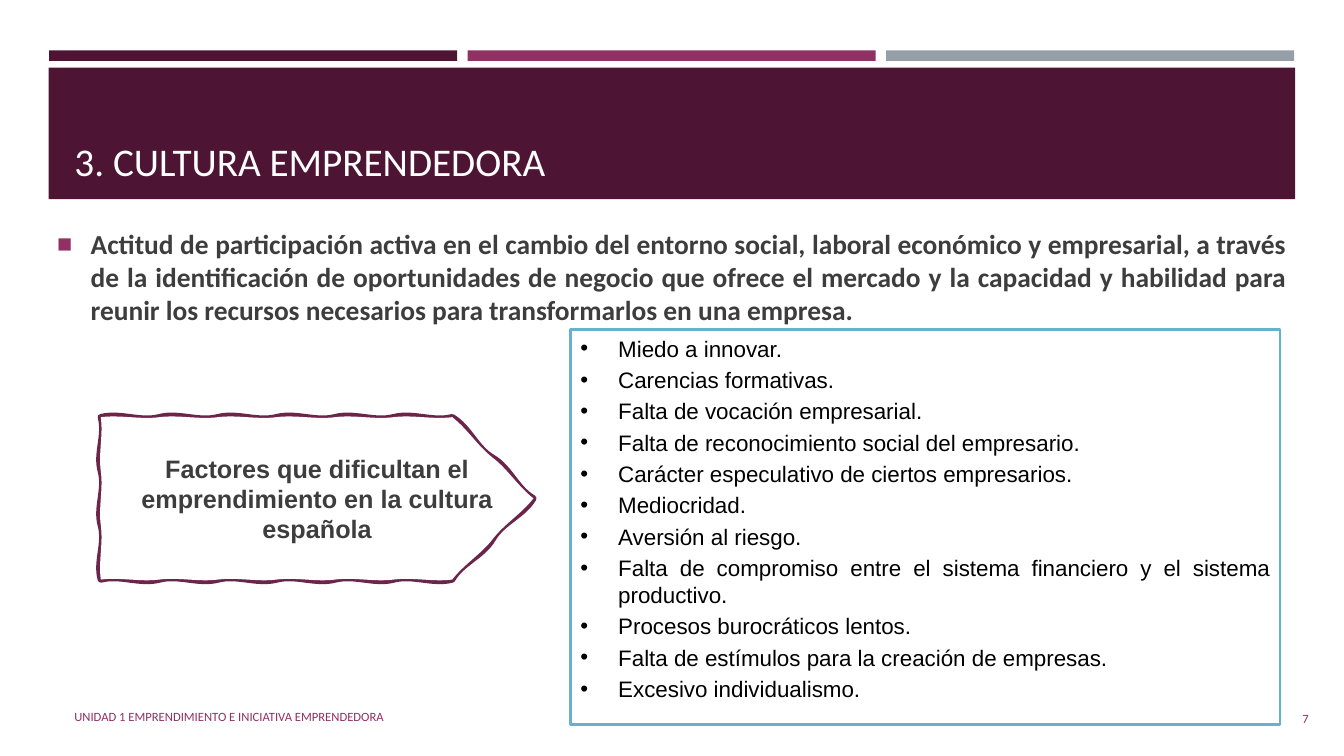
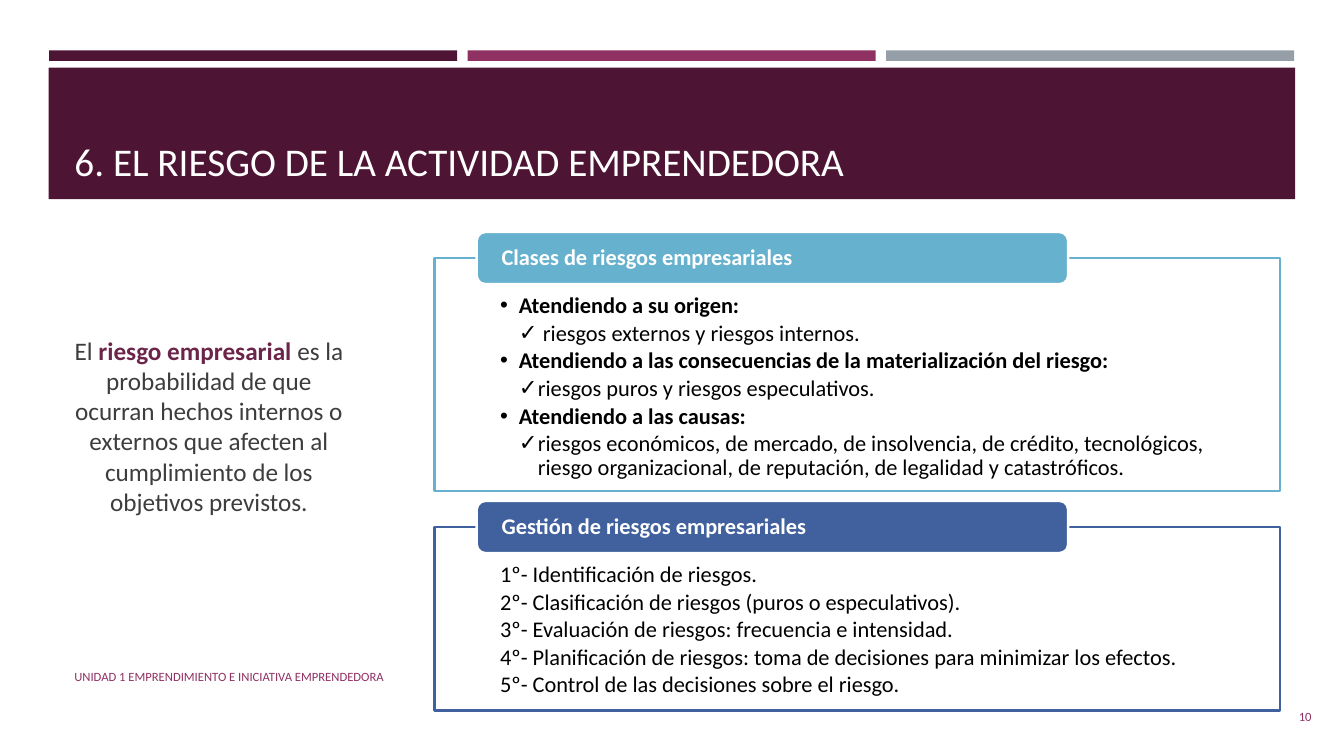
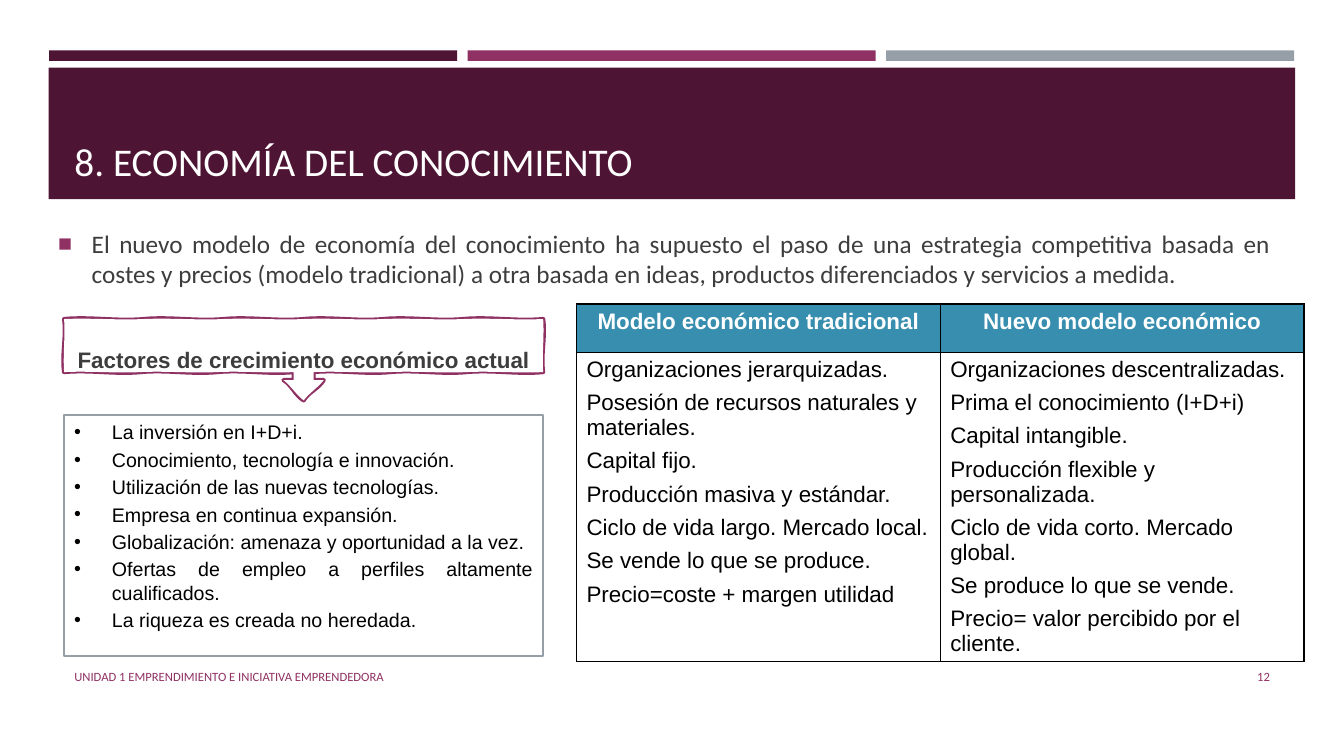
from dataclasses import dataclass, replace
from math import dist

from lxml.etree import SubElement
from pptx import Presentation
from pptx.dml.color import RGBColor
from pptx.enum.shapes import MSO_SHAPE
from pptx.enum.text import MSO_ANCHOR, MSO_AUTO_SIZE, PP_ALIGN
from pptx.oxml.ns import qn
from pptx.presentation import Presentation as Deck
from pptx.shapes.autoshape import Shape
from pptx.slide import Slide
from pptx.table import _Cell as Cell
from pptx.text.text import TextFrame
from pptx.util import Pt

WHITE = RGBColor(0xFF, 0xFF, 0xFF)
BLACK = RGBColor(0, 0, 0)
WINE = RGBColor(0x4D, 0x14, 0x34)
PLUM = RGBColor(0x6C, 0x25, 0x4A)
MAGENTA = RGBColor(0x90, 0x31, 0x63)
GREY = RGBColor(0x96, 0x9F, 0xA7)
INK = RGBColor(0x3D, 0x3D, 0x3D)
SKY = RGBColor(0x66, 0xB1, 0xCE)
BLUE = RGBColor(0x40, 0x61, 0x9D)
TEAL = RGBColor(0x38, 0x8E, 0xAF)

FOOTER = "UNIDAD 1 EMPRENDIMIENTO E INICIATIVA EMPRENDEDORA"

Point = tuple[float, float]


@dataclass(frozen=True)
class Box:
    left: float
    top: float
    width: float
    height: float

    def lengths(self) -> tuple[Pt, Pt, Pt, Pt]:
        return Pt(self.left), Pt(self.top), Pt(self.width), Pt(self.height)


@dataclass(frozen=True)
class Bullet:
    mark: str
    color: RGBColor | None = None
    percent: int = 100


@dataclass(frozen=True)
class Look:
    size: float
    font: str = "Calibri"
    color: RGBColor = BLACK
    bold: bool = False
    align: PP_ALIGN = PP_ALIGN.LEFT
    left: float = 0
    hanging: float = 0
    before: float = 0
    after: float = 0
    line: float = 1
    level: int = 0
    bullet: Bullet | None = None


@dataclass(frozen=True)
class Span:
    text: str
    color: RGBColor | None = None
    bold: bool | None = None


@dataclass(frozen=True)
class Para:
    spans: tuple[Span, ...]
    look: Look


@dataclass(frozen=True)
class Panel:
    heading: str
    color: RGBColor
    top: float
    height: float
    paras: list[Para]


@dataclass(frozen=True)
class Page:
    title: str
    number: str
    footer_top: float
    number_box: Box


@dataclass(frozen=True)
class Sketch:
    corners: list[Point]
    color: RGBColor
    weight: float
    swing: float
    stretch: float


TITLE = Look(28, color=WHITE)
SMALL = Look(9, color=MAGENTA)
LEAD = Look(18, color=INK, align=PP_ALIGN.JUSTIFY, left=24, hanging=24, bullet=Bullet("■", MAGENTA, 92))
CALLOUT = Look(18, "Arial", INK, True, PP_ALIGN.CENTER)
FACTORS = Look(16, "Arial", align=PP_ALIGN.JUSTIFY, left=27, hanging=27, before=3.2, bullet=Bullet("•"))
HEADING = Look(16, color=WHITE, bold=True, line=0.9)
STEP = Look(16, left=13.5, hanging=13.5, after=2.4, line=0.9)
RISK = replace(STEP, bold=True, bullet=Bullet("•"))
KIND = replace(STEP, left=27, level=1, bullet=Bullet("✓"))
COLUMN_HEAD = Look(16, "Arial", WHITE, True, PP_ALIGN.CENTER)
COLUMN_TEXT = Look(16, "Arial", after=6)


def plain(texts: list[str], look: Look) -> list[Para]:
    return [Para((Span(text),), look) for text in texts]


def write(frame: TextFrame, paras: list[Para], anchor: MSO_ANCHOR = MSO_ANCHOR.TOP,
          margins: tuple[float, float, float, float] = (7.2, 3.6, 7.2, 3.6)) -> None:
    frame.word_wrap = True
    frame.auto_size = MSO_AUTO_SIZE.NONE
    frame.vertical_anchor = anchor
    frame.margin_left, frame.margin_top, frame.margin_right, frame.margin_bottom = map(Pt, margins)
    fill_paragraphs(frame, paras)


def fill_paragraphs(frame: TextFrame, paras: list[Para]) -> None:
    for index, item in enumerate(paras):
        para = frame.add_paragraph() if index else frame.paragraphs[0]
        look = item.look
        para.alignment = look.align
        para.level = look.level
        para.line_spacing = look.line
        para.space_before = Pt(look.before)
        para.space_after = Pt(look.after)
        properties = para._p.get_or_add_pPr()
        properties.set("marL", str(Pt(look.left)))
        properties.set("indent", str(-Pt(look.hanging)))
        if look.bullet is None:
            SubElement(properties, qn("a:buNone"))
        else:
            if look.bullet.color is not None:
                color = SubElement(properties, qn("a:buClr"))
                SubElement(color, qn("a:srgbClr"), val=str(look.bullet.color))
            SubElement(properties, qn("a:buSzPct"), val=str(look.bullet.percent * 1000))
            SubElement(properties, qn("a:buFont"), typeface="Arial")
            SubElement(properties, qn("a:buChar"), char=look.bullet.mark)
        for span in item.spans:
            run = para.add_run()
            run.text = span.text
            run.font.name = look.font
            run.font.size = Pt(look.size)
            run.font.bold = look.bold if span.bold is None else span.bold
            run.font.color.rgb = span.color or look.color


def paint(shape: Shape, fill: RGBColor, line: RGBColor | None = None, weight: float = 1.75) -> None:
    shape.shadow.inherit = False
    shape.fill.solid()
    shape.fill.fore_color.rgb = fill
    if line is None:
        shape.line.fill.background()
    else:
        shape.line.color.rgb = line
        shape.line.width = Pt(weight)


def add_box(page: Slide, box: Box, fill: RGBColor, line: RGBColor | None = None,
            kind: MSO_SHAPE = MSO_SHAPE.RECTANGLE) -> Shape:
    shape = page.shapes.add_shape(kind, *box.lengths())
    paint(shape, fill, line)
    return shape


def add_text(page: Slide, box: Box, text: str, look: Look) -> None:
    shape = page.shapes.add_textbox(*box.lengths())
    write(shape.text_frame, plain([text], look), MSO_ANCHOR.MIDDLE)


def wavy_curves(sketch: Sketch, swing: float) -> list[list[Point]]:
    curves = []
    for start, end in zip(sketch.corners, sketch.corners[1:] + sketch.corners[:1]):
        length = dist(start, end)
        pieces = max(1, round(length / sketch.stretch))
        across, down = (end[0] - start[0]) / length, (end[1] - start[1]) / length
        bend = min(swing, length / 12)
        for piece in range(pieces):
            curve = []
            for part, offset in ((1 / 3, -bend), (2 / 3, bend), (1, 0)):
                along = length * (piece + part) / pieces
                curve.append((start[0] + across * along - down * offset,
                              start[1] + down * along + across * offset))
            curves.append(curve)
    return curves


def add_sketch(page: Slide, sketch: Sketch) -> Shape:
    corners = [(Pt(left), Pt(top)) for left, top in sketch.corners]
    builder = page.shapes.build_freeform(*corners[0])
    builder.add_line_segments(corners[1:], close=True)
    shape = builder.convert_to_shape()
    paint(shape, WHITE, sketch.color, sketch.weight)
    outlines = shape.element.spPr.find(qn("a:custGeom")).find(qn("a:pathLst"))
    outlines.clear()

    def add_point(parent, point: Point) -> None:
        SubElement(parent, qn("a:pt"), x=str(Pt(point[0]) - shape.left), y=str(Pt(point[1]) - shape.top))

    for swing, hidden in ((sketch.swing, {"fill": "none"}), (sketch.swing / 2, {"stroke": "0"})):
        outline = SubElement(outlines, qn("a:path"), w=str(shape.width), h=str(shape.height), **hidden)
        add_point(SubElement(outline, qn("a:moveTo")), sketch.corners[0])
        for curve in wavy_curves(sketch, swing):
            bend = SubElement(outline, qn("a:cubicBezTo"))
            for point in curve:
                add_point(bend, point)
        SubElement(outline, qn("a:close"))
    return shape


def add_bands(deck: Deck, page: Slide) -> None:
    bands = [add_box(page, Box(35 + index * 299, 36, 291.5, 7.5), color)
             for index, color in enumerate((WINE, MAGENTA, GREY))]
    bands.append(add_box(page, Box(34.8, 48.4, 890.4, 93.8), WINE))
    tree = deck.slide_master.shapes.element
    for index, band in enumerate(bands):
        band.element.nvSpPr.cNvPr.set("id", str(100 + index))
        tree.insert(2 + index, band.element)


def add_page(deck: Deck, plan: Page, body: Box, paras: list[Para], anchor: MSO_ANCHOR = MSO_ANCHOR.TOP) -> Slide:
    page = deck.slides.add_slide(deck.slide_layouts[1])
    if len(deck.slides) == 1:
        add_bands(deck, page)
    places = (
        (page.shapes.title, Box(46, 55.5, 868, 80), plain([plan.title], TITLE), MSO_ANCHOR.BOTTOM),
        (page.placeholders[1], body, paras, anchor),
    )
    for holder, box, content, side in places:
        holder.left, holder.top, holder.width, holder.height = box.lengths()
        write(holder.text_frame, content, side)
    add_text(page, Box(46, plan.footer_top, 544, 29), FOOTER, SMALL)
    add_text(page, plan.number_box, plan.number, replace(SMALL, align=PP_ALIGN.RIGHT))
    return page


def add_culture(deck: Deck) -> None:
    lead = ("Actitud de participación activa en el cambio del entorno social, laboral económico y empresarial, "
            "a través de la identificación de oportunidades de negocio que ofrece el mercado y la capacidad y "
            "habilidad para reunir los recursos necesarios para transformarlos en una empresa.")
    plan = Page("3. CULTURA EMPRENDEDORA", "7", 497.5, Box(859, 499, 83, 29))
    page = add_page(deck, plan, Box(33.6, 158.5, 893, 80), plain([lead], replace(LEAD, size=19.6, bold=True)))
    barriers = [
        "Miedo a innovar.",
        "Carencias formativas.",
        "Falta de vocación empresarial.",
        "Falta de reconocimiento social del empresario.",
        "Carácter especulativo de ciertos empresarios.",
        "Mediocridad.",
        "Aversión al riesgo.",
        "Falta de compromiso entre el sistema financiero y el sistema productivo.",
        "Procesos burocráticos lentos.",
        "Falta de estímulos para la creación de empresas.",
        "Excesivo individualismo.",
    ]
    frame = add_box(page, Box(407.5, 235.5, 507, 282), WHITE, SKY)
    write(frame.text_frame, plain(barriers, FACTORS))
    corners = [(72, 298), (323, 298), (381, 356), (323, 414), (72, 414)]
    arrow = add_sketch(page, Sketch(corners, PLUM, 4.5, 3.6, 40))
    write(arrow.text_frame,
          plain(["Factores que dificultan el emprendimiento en la cultura española"], CALLOUT),
          MSO_ANCHOR.MIDDLE)


def add_panel(page: Slide, panel: Panel) -> None:
    frame = add_box(page, Box(310.4, panel.top, 604, panel.height), WHITE, panel.color)
    write(frame.text_frame, panel.paras, MSO_ANCHOR.TOP, (46.8, 26, 46.8, 8.5))
    tab = add_box(page, Box(340.5, panel.top - 18.7, 422.5, 37.3), panel.color, WHITE,
                  MSO_SHAPE.ROUNDED_RECTANGLE)
    write(tab.text_frame, plain([panel.heading], HEADING), MSO_ANCHOR.MIDDLE, (16, 0, 16, 0))


def add_risk(deck: Deck) -> None:
    meaning = Para((
        Span("El "),
        Span("riesgo empresarial ", PLUM, True),
        Span("es la probabilidad de que ocurran hechos internos o externos que afecten al cumplimiento "
             "de los objetivos previstos."),
    ), Look(18, color=INK, align=PP_ALIGN.CENTER))
    plan = Page("6. EL RIESGO DE LA ACTIVIDAD EMPRENDEDORA", "10", 468.7, Box(861, 497.5, 83, 29))
    page = add_page(deck, plan, Box(46, 161.5, 206.5, 285), [meaning], MSO_ANCHOR.MIDDLE)
    classes = [
        ("Atendiendo a su origen:", " riesgos externos y riesgos internos."),
        ("Atendiendo a las consecuencias de la materialización del riesgo:",
         "riesgos puros y riesgos especulativos."),
        ("Atendiendo a las causas:",
         "riesgos económicos, de mercado, de insolvencia, de crédito, tecnológicos, riesgo organizacional, "
         "de reputación, de legalidad y catastróficos."),
    ]
    steps = [
        "1º- Identificación de riesgos.",
        "2º- Clasificación de riesgos (puros o especulativos).",
        "3º- Evaluación de riesgos: frecuencia e intensidad.",
        "4º- Planificación de riesgos: toma de decisiones para minimizar los efectos.",
        "5º- Control de las decisiones sobre el riesgo.",
    ]
    class_paras = [Para((Span(text),), look) for pair in classes for text, look in zip(pair, (RISK, KIND))]
    for panel in (
        Panel("Clases de riesgos empresariales", SKY, 184.4, 166.3, class_paras),
        Panel("Gestión de riesgos empresariales", BLUE, 376.5, 131, plain(steps, STEP)),
    ):
        add_panel(page, panel)


def style_cell(cell: Cell, fill: RGBColor, paras: list[Para]) -> None:
    properties = cell._tc.get_or_add_tcPr()
    for side in ("a:lnL", "a:lnR", "a:lnT", "a:lnB"):
        border = SubElement(properties, qn(side), w=str(Pt(1)))
        SubElement(SubElement(border, qn("a:solidFill")), qn("a:srgbClr"), val=str(BLACK))
    cell.fill.solid()
    cell.fill.fore_color.rgb = fill
    fill_paragraphs(cell.text_frame, paras)


def add_models(page: Slide) -> None:
    models = {
        "Modelo económico tradicional": [
            "Organizaciones jerarquizadas.",
            "Posesión de recursos naturales y materiales.",
            "Capital fijo.",
            "Producción masiva y estándar.",
            "Ciclo de vida largo. Mercado local.",
            "Se vende lo que se produce.",
            "Precio=coste + margen utilidad",
        ],
        "Nuevo modelo económico": [
            "Organizaciones descentralizadas.",
            "Prima el conocimiento (I+D+i)",
            "Capital intangible.",
            "Producción flexible y personalizada.",
            "Ciclo de vida corto. Mercado global.",
            "Se produce lo que se vende.",
            "Precio= valor percibido por el cliente.",
        ],
    }
    table = page.shapes.add_table(2, 2, *Box(411.8, 217.2, 519.6, 234).lengths()).table
    for row, height in zip(table.rows, (34.4, 199.6)):
        row.height = Pt(height)
    for index, (heading, traits) in enumerate(models.items()):
        style_cell(table.cell(0, index), TEAL, plain([heading], COLUMN_HEAD))
        style_cell(table.cell(1, index), WHITE, plain(traits, COLUMN_TEXT))


def add_knowledge(deck: Deck) -> None:
    lead = ("El nuevo modelo de economía del conocimiento ha supuesto el paso de una estrategia competitiva basada "
            "en costes y precios (modelo tradicional) a otra basada en ideas, productos diferenciados y servicios "
            "a medida.")
    plan = Page("8. ECONOMÍA DEL CONOCIMIENTO", "12", 468.7, Box(831.3, 468.7, 83, 29))
    page = add_page(deck, plan, Box(34.3, 159.4, 880.6, 57), plain([lead], LEAD))
    corners = [(45.8, 227.9), (388, 227.9), (388, 265.8), (224, 265.8), (224, 271.5), (231.3, 271.5),
               (216.9, 286), (202.5, 271.5), (209.8, 271.5), (209.8, 265.8), (45.8, 265.8)]
    callout = add_sketch(page, Sketch(corners, MAGENTA, 3, 1.8, 54))
    write(callout.text_frame,
          plain(["Factores de crecimiento económico actual"], replace(CALLOUT, size=16)), MSO_ANCHOR.MIDDLE)
    drivers = [
        "La inversión en I+D+i.",
        "Conocimiento, tecnología e innovación.",
        "Utilización de las nuevas tecnologías.",
        "Empresa en continua expansión.",
        "Globalización: amenaza y oportunidad a la vez.",
        "Ofertas de empleo a perfiles altamente cualificados.",
        "La riqueza es creada no heredada.",
    ]
    frame = add_box(page, Box(45.8, 296.5, 342, 172), WHITE, GREY)
    write(frame.text_frame, plain(drivers, replace(FACTORS, size=14, before=2.8)))
    add_models(page)


def main() -> None:
    deck = Presentation()
    deck.slide_width, deck.slide_height = Pt(960), Pt(540)
    add_culture(deck)
    add_risk(deck)
    add_knowledge(deck)
    deck.save("out.pptx")


if __name__ == "__main__":
    main()
